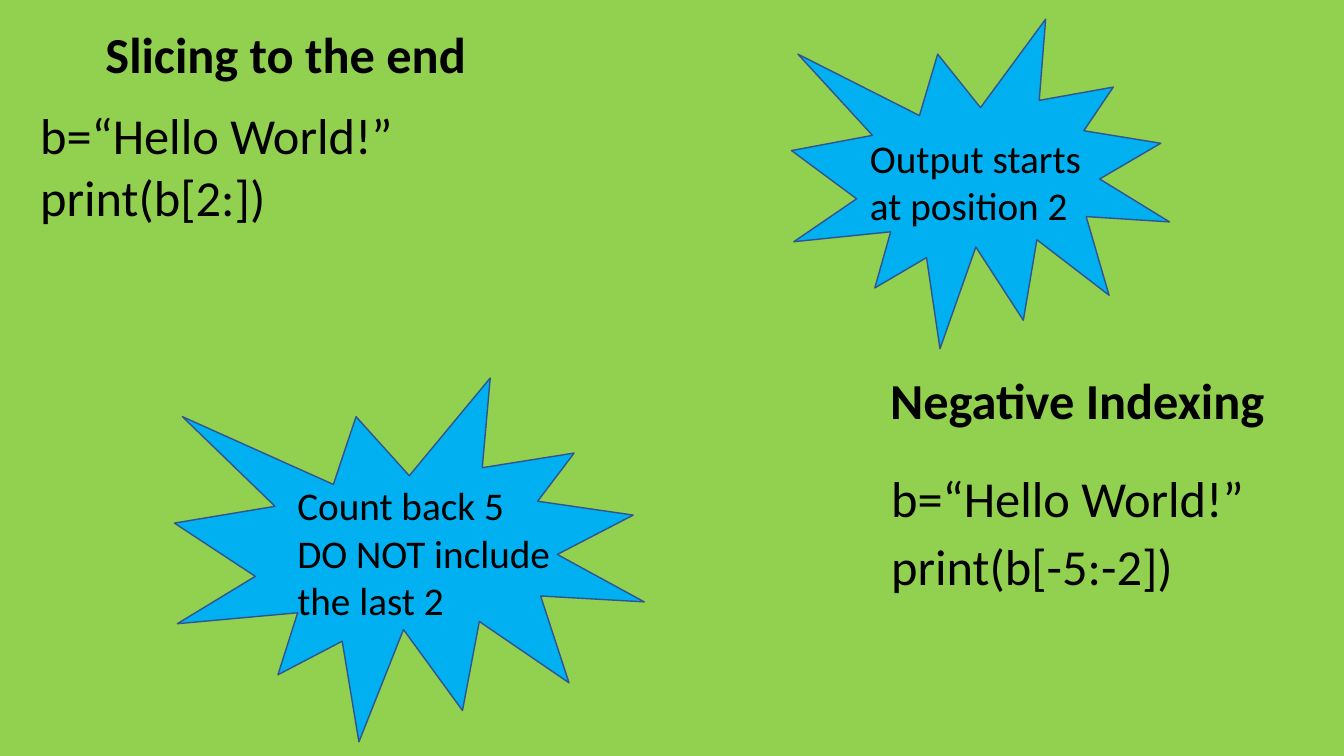
from dataclasses import dataclass

from pptx import Presentation
from pptx.dml.color import RGBColor
from pptx.enum.shapes import MSO_SHAPE
from pptx.enum.text import MSO_ANCHOR, MSO_AUTO_SIZE, PP_ALIGN
from pptx.slide import Slide
from pptx.util import Inches, Pt


@dataclass(frozen=True)
class Theme:
    background: RGBColor = RGBColor(0x92, 0xD0, 0x50)
    burst_fill: RGBColor = RGBColor(0x00, 0xB0, 0xF0)
    burst_line: RGBColor = RGBColor(0x31, 0x53, 0x8F)
    ink: RGBColor = RGBColor(0, 0, 0)
    font: str = "Calibri"
    body_size: int = 36
    note_size: int = 28


@dataclass(frozen=True)
class Box:
    left: float
    top: float
    width: float
    height: float

    def emu(self) -> tuple[int, ...]:
        return tuple(Inches(v) for v in (self.left, self.top, self.width, self.height))


@dataclass(frozen=True)
class Topic:
    heading: str
    heading_box: Box
    code: tuple[str, ...]
    code_box: Box
    code_spacing: float
    note: tuple[str, ...]
    note_box: Box
    burst_box: Box


THEME = Theme()

TOPICS = (
    Topic(
        heading="Slicing to the end",
        heading_box=Box(0, -0.01, 5.67, 0.9),
        code=("b=“Hello World!”", "print(b[2:])"),
        code_box=Box(0.3, 1.1, 5.8, 1.29),
        code_spacing=0.8,
        note=("Output starts", "at position 2"),
        note_box=Box(8.53, 1.28, 2.69, 1.04),
        burst_box=Box(7.85, 0.19, 3.75, 3.27),
    ),
    Topic(
        heading="Negative Indexing",
        heading_box=Box(7.85, 3.42, 5.67, 0.9),
        code=("b=“Hello World!”", "print(b[-5:-2])"),
        code_box=Box(8.74, 4.65, 3.88, 1.99),
        code_spacing=0.9,
        note=("Count back 5", "DO NOT include", "the last 2"),
        note_box=Box(2.85, 4.73, 2.79, 1.51),
        burst_box=Box(1.73, 3.75, 4.66, 3.61),
    ),
)


def add_text(slide: Slide, box: Box, lines: tuple[str, ...], *, size: int,
             bold: bool = False, align: PP_ALIGN = PP_ALIGN.LEFT,
             anchor: MSO_ANCHOR = MSO_ANCHOR.TOP, line_spacing: float = 1.0,
             gap: int = 0, grow: bool = False) -> None:
    """Write one paragraph per line, with a gap in points between them."""
    frame = slide.shapes.add_textbox(*box.emu()).text_frame
    frame.word_wrap = True
    frame.vertical_anchor = anchor
    frame.auto_size = MSO_AUTO_SIZE.SHAPE_TO_FIT_TEXT if grow else MSO_AUTO_SIZE.NONE
    for index, line in enumerate(lines):
        paragraph = frame.add_paragraph() if index else frame.paragraphs[0]
        paragraph.alignment = align
        paragraph.line_spacing = line_spacing
        paragraph.space_before = Pt(gap if index else 0)
        run = paragraph.add_run()
        run.text = line
        run.font.name = THEME.font
        run.font.size = Pt(size)
        run.font.bold = bold
        run.font.color.rgb = THEME.ink


def add_burst(slide: Slide, box: Box) -> None:
    burst = slide.shapes.add_shape(MSO_SHAPE.EXPLOSION1, *box.emu())
    burst.shadow.inherit = False
    burst.fill.solid()
    burst.fill.fore_color.rgb = THEME.burst_fill
    burst.line.color.rgb = THEME.burst_line
    burst.line.width = Pt(1)


def add_topic(slide: Slide, topic: Topic) -> None:
    # Code sample and its heading
    add_text(slide, topic.code_box, topic.code, size=THEME.body_size,
             line_spacing=topic.code_spacing, gap=10)
    add_text(slide, topic.heading_box, (topic.heading,), size=THEME.body_size,
             bold=True, align=PP_ALIGN.CENTER, anchor=MSO_ANCHOR.BOTTOM,
             line_spacing=0.9)
    # Explanation over its burst
    add_burst(slide, topic.burst_box)
    add_text(slide, topic.note_box, topic.note, size=THEME.note_size, grow=True)


def main() -> None:
    deck = Presentation()
    deck.slide_width, deck.slide_height = Inches(13.33), Inches(7.5)
    slide = deck.slides.add_slide(deck.slide_layouts[6])
    slide.background.fill.solid()
    slide.background.fill.fore_color.rgb = THEME.background
    for topic in TOPICS:
        add_topic(slide, topic)
    deck.save("out.pptx")


if __name__ == "__main__":
    main()
